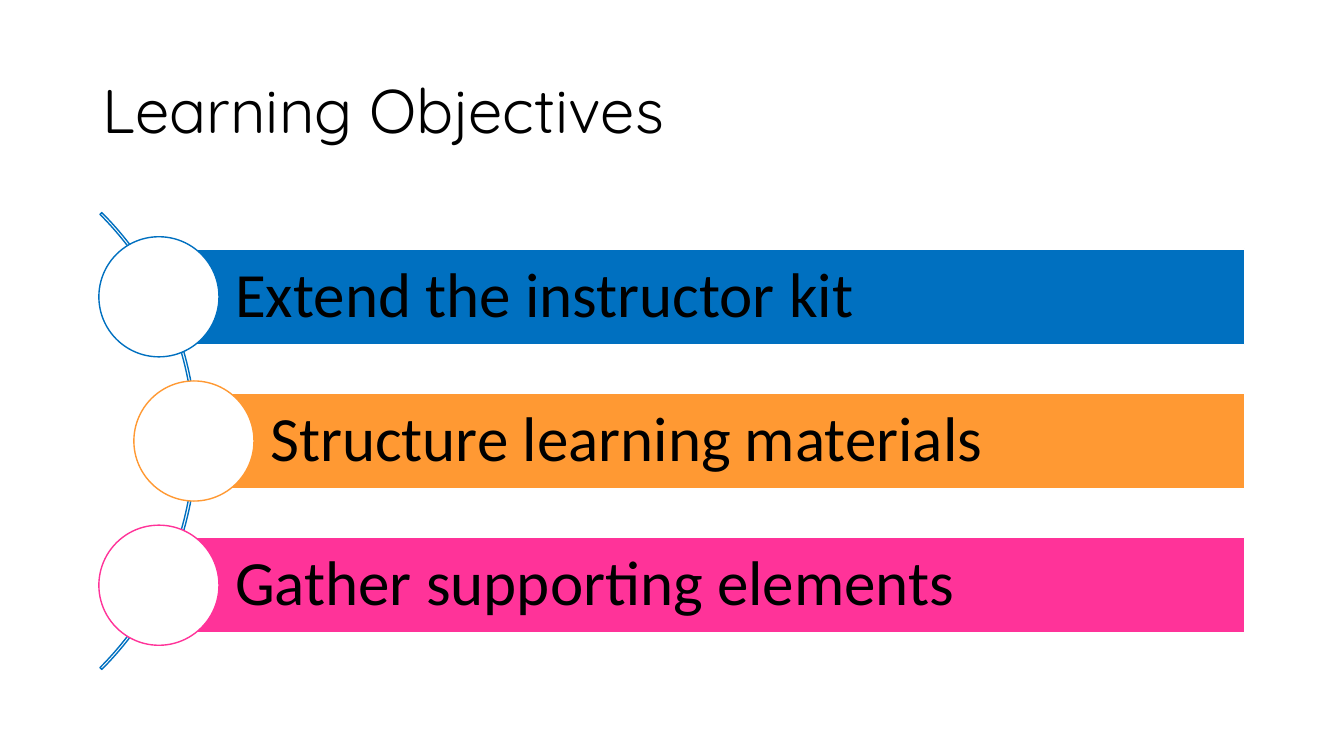
import dataclasses

import pptx
import pptx.dml.color
import pptx.enum.shapes
import pptx.enum.text
import pptx.util

Pt = pptx.util.Pt
SHAPES = pptx.enum.shapes.MSO_SHAPE


@dataclasses.dataclass(frozen=True)
class Theme:
    ink: str = "000000"
    paper: str = "FFFFFF"
    blue: str = "0070C0"
    orange: str = "FF9933"
    pink: str = "FF3399"
    title_font: str = "Quicksand"
    body_font: str = "Calibri"
    title_size: float = 44
    body_size: float = 45
    line_width: float = 1


THEME = Theme()

# Text, colour and left edge of each bar
OBJECTIVES = [
    ("Extend the instructor kit", THEME.blue, 113.5),
    ("Structure learning materials", THEME.orange, 138.5),
    ("Gather supporting elements", THEME.pink, 113.5),
]
BAR_RIGHT = 889
BAR_HEIGHT = 68.5
FIRST_CENTER = 212
BAR_PITCH = 103
CIRCLE_SIZE = 85.8
ARC_SIZE = 461.5


def color(code):
    return pptx.dml.color.RGBColor.from_string(code)


def add_outlined_shape(slide, kind, left, top, width, height, line, fill=None):
    shape = slide.shapes.add_shape(kind, Pt(left), Pt(top), Pt(width), Pt(height))
    shape.shadow.inherit = False
    if fill:
        shape.fill.solid()
        shape.fill.fore_color.rgb = color(fill)
    else:
        shape.fill.background()
    shape.line.color.rgb = color(line)
    shape.line.width = Pt(THEME.line_width)
    return shape


def write_line(shape, text, font, size, margins):
    """Set one left-aligned, vertically centred line; margins run left, top, right, bottom."""
    frame = shape.text_frame
    frame.text = text
    frame.word_wrap = True
    frame.vertical_anchor = pptx.enum.text.MSO_ANCHOR.MIDDLE
    (frame.margin_left, frame.margin_top,
     frame.margin_right, frame.margin_bottom) = map(Pt, margins)
    para = frame.paragraphs[0]
    para.alignment = pptx.enum.text.PP_ALIGN.LEFT
    para.line_spacing = 0.9
    span = para.runs[0]
    span.font.name = font
    span.font.size = Pt(size)
    span.font.color.rgb = color(THEME.ink)


def add_title(slide, text):
    box = slide.shapes.add_textbox(Pt(66), Pt(28.75), Pt(828), Pt(104.4))
    write_line(box, text, THEME.title_font, THEME.title_size, (7.2, 3.6, 7.2, 3.6))


def add_arc(slide):
    middle = FIRST_CENTER + BAR_PITCH * (len(OBJECTIVES) - 1) / 2
    arc = add_outlined_shape(slide, SHAPES.BLOCK_ARC, -321.2, middle - ARC_SIZE / 2,
                             ARC_SIZE, ARC_SIZE, THEME.blue)
    for index, value in enumerate((189, 27, 0.004)):
        arc.adjustments[index] = value


def add_objective(slide, text, accent, left, center):
    """Draw a labelled bar with a circle centred on its left edge."""
    bar = add_outlined_shape(slide, SHAPES.RECTANGLE, left, center - BAR_HEIGHT / 2,
                             BAR_RIGHT - left, BAR_HEIGHT, THEME.paper, accent)
    write_line(bar, text, THEME.body_font, THEME.body_size, (54.5, 9, 9, 9))
    radius = CIRCLE_SIZE / 2
    add_outlined_shape(slide, SHAPES.OVAL, left - radius, center - radius,
                       CIRCLE_SIZE, CIRCLE_SIZE, accent, THEME.paper)


def main():
    deck = pptx.Presentation()
    deck.slide_width, deck.slide_height = Pt(960), Pt(540)
    slide = deck.slides.add_slide(deck.slide_layouts[6])
    add_title(slide, "Learning Objectives")
    add_arc(slide)
    for index, (text, accent, left) in enumerate(OBJECTIVES):
        add_objective(slide, text, accent, left, FIRST_CENTER + index * BAR_PITCH)
    deck.save("out.pptx")


if __name__ == "__main__":
    main()
